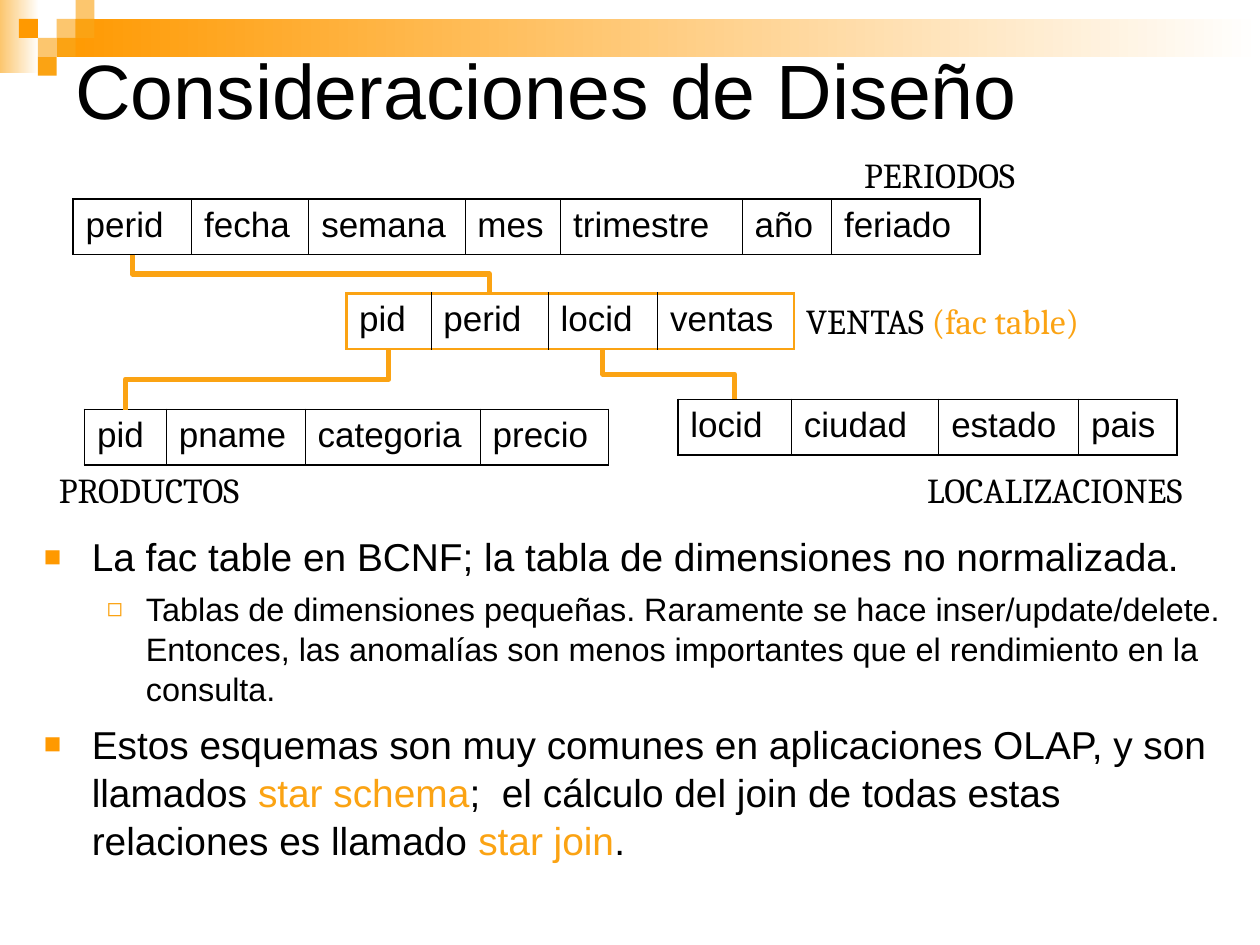
from lxml import etree
from pptx import Presentation
from pptx.dml.color import RGBColor
from pptx.enum.shapes import MSO_CONNECTOR, MSO_SHAPE
from pptx.enum.text import MSO_ANCHOR
from pptx.oxml.ns import qn
from pptx.util import Inches, Pt

ELBOW = MSO_CONNECTOR.ELBOW
RECTANGLE = MSO_SHAPE.RECTANGLE
MIDDLE = MSO_ANCHOR.MIDDLE
TOP = MSO_ANCHOR.TOP

COLUMNS = 100
ROWS = 75
TILE = 1.5
ROW_HEIGHT = 4.4
BLACK = "000000"
WHITE = "FFFFFF"
ORANGE = "FF9900"
AMBER = "FBA313"
PALE = "FCC66E"

TILES = [
    (3, 1, PALE), (4, 0, PALE), (4, 1, AMBER), (2, 2, PALE),
    (1, 1, ORANGE), (3, 2, AMBER), (2, 3, AMBER),
]
LABELS = [
    (67.6, 11.7, 15.9, [("PERIODOS", BLACK)]),
    (3.7, 36.7, 18.6, [("PRODUCTOS", BLACK)]),
    (72.6, 36.7, 26, [("LOCALIZACIONES", BLACK)]),
    (63, 23.3, 26.8, [("VENTAS ", BLACK), ("(fac table)", AMBER)]),
]
BULLETS = [
    (0, [("La fac table en BCNF; la tabla de dimensiones no normalizada.", BLACK)]),
    (1, [("Tablas de dimensiones pequeñas. Raramente se hace inser/update/delete. "
          "Entonces, las anomalías son menos importantes que el rendimiento en la "
          "consulta.", BLACK)]),
    (0, [("Estos esquemas son muy comunes en aplicaciones OLAP, y son llamados ", BLACK),
         ("star schema", AMBER),
         (";  el cálculo del join de todas estas relaciones es llamado ", BLACK),
         ("star join", AMBER), (".", BLACK)]),
]
BULLET_LEVELS = [
    {"size": 22.2, "indent": 0.38, "hang": 0.38, "before": 6,
     "mark": "■", "color": ORANGE, "scale": 75},
    {"size": 18.5, "indent": 0.81, "hang": 0.31, "before": 5,
     "mark": "◻", "color": AMBER, "scale": 80},
]


def grid(count):
    return Inches(count * 10 / COLUMNS)


def rgb(value):
    return RGBColor.from_string(value)


def add_child(parent, tag, **attributes):
    return etree.SubElement(parent, qn(tag), {k: str(v) for k, v in attributes.items()})


def add_runs(paragraph, runs, size, font="Arial"):
    for text, color in runs:
        run = paragraph.add_run()
        run.text = text
        run.font.size = Pt(size)
        run.font.name = font
        run.font.color.rgb = rgb(color)


def add_block(slide, left, top, width, height):
    shape = slide.shapes.add_shape(
        RECTANGLE, grid(left), grid(top), grid(width), grid(height))
    shape.shadow.inherit = False
    shape.line.fill.background()
    return shape


def add_tile(slide, column, row, color):
    shape = add_block(slide, column * TILE, row * TILE, TILE, TILE)
    shape.fill.solid()
    shape.fill.fore_color.rgb = rgb(color)


def add_fade(slide, left, top, width, height, color):
    shape = add_block(slide, left, top, width, height)
    shape.fill.gradient()
    shape.fill.gradient_angle = 180
    for stop, stop_color in zip(shape.fill.gradient_stops, (WHITE, color)):
        stop.color.rgb = rgb(stop_color)


def add_text_frame(slide, left, top, width, height, wrap=True, anchor=TOP):
    shape = slide.shapes.add_textbox(grid(left), grid(top), grid(width), grid(height))
    frame = shape.text_frame
    frame.word_wrap = wrap
    frame.vertical_anchor = anchor
    return frame


def add_bullets(slide, left, top, width, height):
    frame = add_text_frame(slide, left, top, width, height)
    for index, (depth, runs) in enumerate(BULLETS):
        level = BULLET_LEVELS[depth]
        paragraph = frame.add_paragraph() if index else frame.paragraphs[0]
        paragraph.level = depth
        paragraph.line_spacing = 1.03
        paragraph.space_before = Pt(level["before"] if index else 0)
        properties = paragraph._p.get_or_add_pPr()
        properties.set("marL", str(Inches(level["indent"])))
        properties.set("indent", str(-Inches(level["hang"])))
        color = add_child(properties, "a:buClr")
        add_child(color, "a:srgbClr", val=level["color"])
        add_child(properties, "a:buSzPct", val=level["scale"] * 1000)
        add_child(properties, "a:buFont", typeface="Arial")
        add_child(properties, "a:buChar", char=level["mark"])
        add_runs(paragraph, runs, level["size"])


def add_border(cell, side, color, width):
    line = add_child(cell._tc.get_or_add_tcPr(), f"a:ln{side}", w=Pt(width))
    fill = add_child(line, "a:solidFill")
    add_child(fill, "a:srgbClr", val=color)


def add_relation(slide, left, top, fields, color=BLACK, weight=1.08):
    widths = [width for _, width in fields]
    frame = slide.shapes.add_table(
        1, len(fields), grid(left), grid(top), grid(sum(widths)), grid(ROW_HEIGHT))
    table = frame.table
    table.first_row = False
    table.horz_banding = False
    outer, inner = (color, weight), (BLACK, 0.45)
    last = len(fields) - 1
    centers = {}
    for index, (name, width) in enumerate(fields):
        table.columns[index].width = grid(width)
        cell = table.cell(0, index)
        add_runs(cell.text_frame.paragraphs[0], [(name, BLACK)], 20)
        add_border(cell, "L", *(inner if index else outer))
        add_border(cell, "R", *(inner if index < last else outer))
        add_border(cell, "T", *outer)
        add_border(cell, "B", *outer)
        cell.fill.background()
        centers[name] = left + sum(widths[:index]) + width / 2
    return centers


def add_elbow(slide, start_x, start_y, end_x, end_y):
    drop, span = end_y - start_y, abs(end_x - start_x)
    left = (start_x + end_x - drop) / 2
    top = (start_y + end_y - span) / 2
    connector = slide.shapes.add_connector(
        ELBOW, grid(left), grid(top), grid(left + drop), grid(top + span))
    connector.line.color.rgb = rgb(AMBER)
    connector.line.width = Pt(3)
    properties = connector._element.spPr
    add_child(properties, "a:effectLst")
    rightward = end_x > start_x
    transform = properties.find(qn("a:xfrm"))
    transform.set("rot", str((270 if rightward else 90) * 60000))
    if rightward:
        transform.set("flipH", "1")


def add_star_schema(slide):
    periods_top, sales_top, products_top, places_top = 15.8, 23.3, 32.5, 31.7
    periods = add_relation(slide, 5.8, periods_top, [
        ("perid", 9.4), ("fecha", 9.3), ("semana", 12.4), ("mes", 7.6),
        ("trimestre", 14.4), ("año", 7.1), ("feriado", 11.8)])
    sales = add_relation(slide, 27.5, sales_top, [
        ("pid", 6.7), ("perid", 9.3), ("locid", 8.7), ("ventas", 10.8)], AMBER, 1.47)
    products = add_relation(slide, 6.7, products_top, [
        ("pid", 6.5), ("pname", 11), ("categoria", 13.9), ("precio", 10.2)])
    places = add_relation(slide, 53.8, places_top, [
        ("locid", 9), ("ciudad", 11.7), ("estado", 11.1), ("pais", 7.8)])
    for left, top, width, runs in LABELS:
        frame = add_text_frame(slide, left, top, width, ROW_HEIGHT, wrap=False)
        add_runs(frame.paragraphs[0], runs, 20, "Cambria")
    sales_bottom = sales_top + ROW_HEIGHT
    add_elbow(slide, periods["perid"], periods_top + ROW_HEIGHT, sales["perid"], sales_top)
    add_elbow(slide, sales["locid"], sales_bottom, places["locid"], places_top)
    add_elbow(slide, sales["pid"], sales_bottom, products["pid"], products_top)


def main():
    presentation = Presentation()
    presentation.slide_width = grid(COLUMNS)
    presentation.slide_height = grid(ROWS)
    slide = presentation.slides.add_slide(presentation.slide_layouts[6])
    add_fade(slide, 0, 0, 3.1, 5.8, PALE)
    add_fade(slide, 4.5, 1.5, 95.5, 3, ORANGE)
    for column, row, color in TILES:
        add_tile(slide, column, row, color)
    title = add_text_frame(slide, 5, 3.3, 90, 7.5, anchor=MIDDLE)
    add_runs(title.paragraphs[0], [("Consideraciones de Diseño", BLACK)], 44)
    add_bullets(slide, 2.5, 41.7, 97.5, 29.2)
    add_star_schema(slide)
    presentation.save("out.pptx")


if __name__ == "__main__":
    main()
